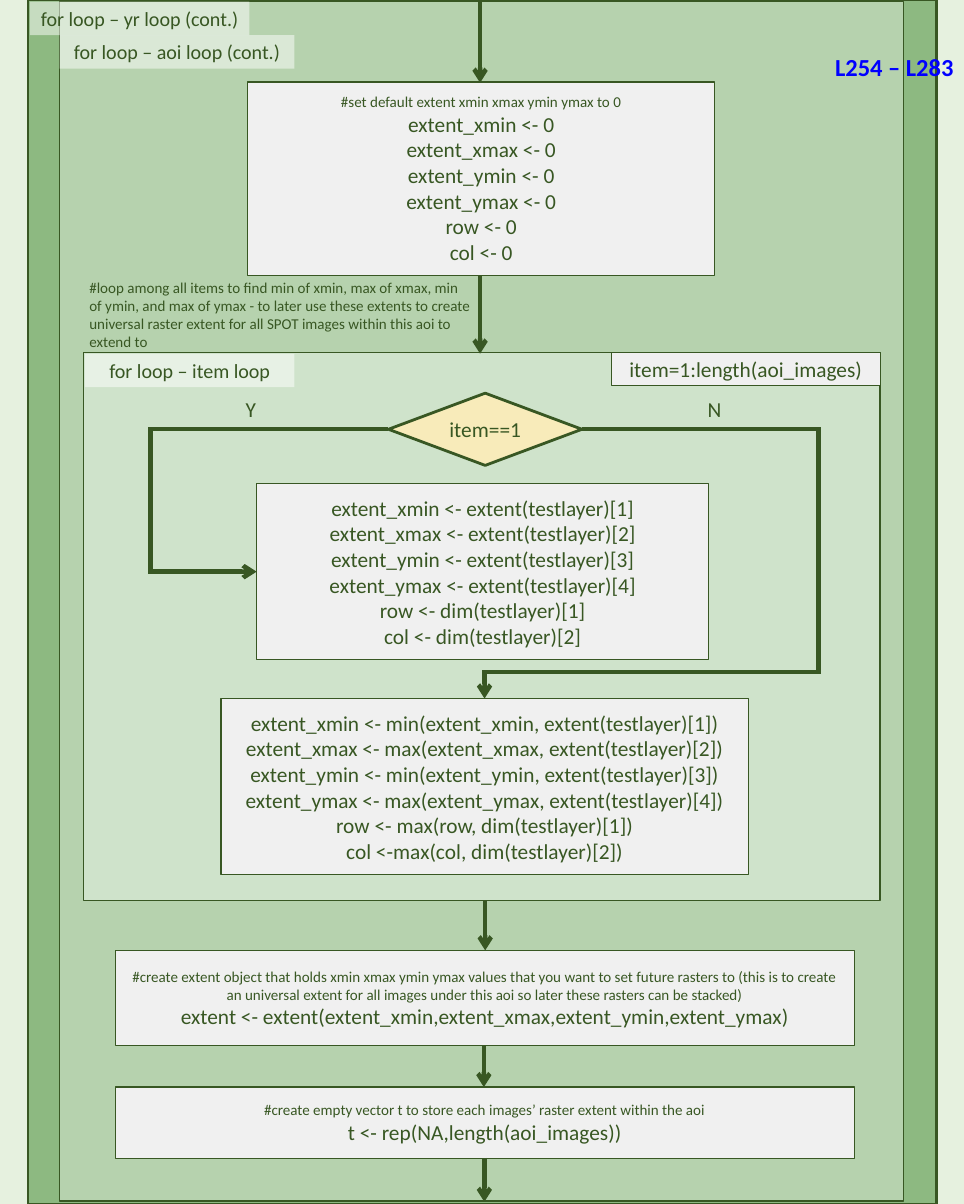
from dataclasses import dataclass

from lxml.etree import SubElement
from pptx import Presentation
from pptx.dml.color import RGBColor
from pptx.enum.shapes import MSO_CONNECTOR as Connector, MSO_SHAPE as Preset
from pptx.enum.text import MSO_ANCHOR as Anchor, MSO_AUTO_SIZE as AutoSize, PP_ALIGN as Align
from pptx.oxml.ns import qn
from pptx.util import Pt

DARK_GREEN = RGBColor(0x38, 0x57, 0x23)
PAGE_GREEN = RGBColor(0xE6, 0xF1, 0xDF)
YEAR_GREEN = RGBColor(0x8D, 0xB9, 0x81)
AOI_GREEN = RGBColor(0xB6, 0xD2, 0xAE)
ITEM_GREEN = RGBColor(0xCF, 0xE3, 0xCB)
GREY = RGBColor(0xF0, 0xF0, 0xF0)
YELLOW = RGBColor(0xF8, 0xEB, 0xBA)
WHITE = RGBColor(0xFF, 0xFF, 0xFF)
BLUE = RGBColor(0x00, 0x00, 0xFF)

SLIDE_WIDTH, SLIDE_HEIGHT = 768.25, 960
COMMENT_SIZE, LABEL_SIZE, CODE_SIZE = 12, 16, 17
ARROW_WIDTH = 3.5


@dataclass
class Box:
    left: float
    top: float
    width: float
    height: float
    text: str = ""
    fill: RGBColor = GREY
    line: float = 1
    preset: Preset = Preset.FLOWCHART_PROCESS
    size: float = CODE_SIZE
    anchor: Anchor = Anchor.MIDDLE
    opacity: int = 100


@dataclass
class Note:
    left: float
    top: float
    width: float
    height: float
    text: str
    size: float = CODE_SIZE
    color: RGBColor = DARK_GREEN
    bold: bool = False
    wrap: bool = True


@dataclass
class Arrow:
    start: tuple[float, float]
    end: tuple[float, float]
    preset: str = "line"
    bends: tuple[float, ...] = ()


def loop_frame(left: float, top: float, width: float, height: float,
               fill: RGBColor, line: float = 1) -> Box:
    return Box(left, top, width, height, fill=fill, line=line, preset=Preset.RECTANGLE)


def loop_label(left: float, top: float, width: float, text: str) -> Box:
    return Box(left, top, width, 26.6, text, WHITE, 0, Preset.RECTANGLE,
               LABEL_SIZE, Anchor.TOP, 50)


BOXES = [
    loop_frame(22.3, 0, 723.8, SLIDE_HEIGHT, YEAR_GREEN, 2.25),
    loop_frame(47.5, 1.4, 672.6, 956.2, AOI_GREEN),
    loop_label(47.5, 28.1, 187.2, "for loop – aoi loop (cont.)"),
    loop_label(23.8, 1.4, 175, "for loop – yr loop (cont.)"),
    Box(197.3, 65.3, 372.4, 154.4, """#set default extent xmin xmax ymin ymax to 0
extent_xmin <- 0
extent_xmax <- 0
extent_ymin <- 0
extent_ymax <- 0
row <- 0
col <- 0"""),
    loop_frame(66.3, 280.8, 635, 437, ITEM_GREEN),
    loop_label(67.7, 282.2, 167, "for loop – item loop"),
    Box(487.4, 280.8, 213.9, 26.6, "item=1:length(aoi_images)", line=0.5),
    Box(204.5, 385.7, 360.4, 140.4, """extent_xmin <- extent(testlayer)[1]
extent_xmax <- extent(testlayer)[2]
extent_ymin <- extent(testlayer)[3]
extent_ymax <- extent(testlayer)[4]
row <- dim(testlayer)[1]
col <- dim(testlayer)[2]"""),
    Box(309.6, 313.5, 154.2, 57.6, "item==1", YELLOW, 2.25, Preset.FLOWCHART_DECISION),
    Box(176.2, 557, 420, 140.6, """extent_xmin <- min(extent_xmin, extent(testlayer)[1])
extent_xmax <- max(extent_xmax, extent(testlayer)[2])
extent_ymin <- min(extent_ymin, extent(testlayer)[3])
extent_ymax <- max(extent_ymax, extent(testlayer)[4])
row <- max(row, dim(testlayer)[1])
col <-max(col, dim(testlayer)[2])"""),
    Box(91.8, 758, 589, 75.8,
        "#create extent object that holds xmin xmax ymin ymax values that you want to set "
        "future rasters to (this is to create an universal extent for all images under "
        "this aoi so later these rasters can be stacked)\n"
        "extent <- extent(extent_xmin,extent_xmax,extent_ymin,extent_ymax)"),
    Box(91.8, 866.8, 589, 56.7,
        "#create empty vector t to store each images’ raster extent within the aoi\n"
        "t <- rep(NA,length(aoi_images))"),
]

NOTES = [
    Note(658.4, 38.2, 110.9, 31, "L254 – L283", 19.5, BLUE, True),
    Note(64.1, 218.5, 318.2, 65.5,
         "#loop among all items to find min of xmin, max of xmax, min of ymin, and max of "
         "ymax - to later use these extents to create universal raster extent for all SPOT "
         "images within this aoi to extend to"),
    Note(188.6, 312.5, 23, 28.1, "Y", wrap=False),
    Note(556.9, 312.5, 25.9, 28.1, "N", wrap=False),
]

ARROWS = [
    Arrow((382.6, 1.4), (382.6, 66)),
    Arrow((382.6, 220), (382.6, 282)),
    Arrow((309.6, 342), (204.6, 455.8), "bentConnector3", (1.806,)),
    Arrow((463.8, 342), (386.2, 557), "bentConnector4", (-2.428, 0.902)),
    Arrow((386.7, 718.2), (386.7, 757.8)),
    Arrow((385.6, 833.8), (385.6, 866.8)),
    Arrow((386, 923.2), (386, 958.3)),
]


def write_text(frame, text: str, size: float, color: RGBColor, align: Align,
               bold: bool = False) -> None:
    """Write one paragraph a line; lines that open with # take the comment size."""
    for index, line in enumerate(text.split("\n")):
        paragraph = frame.add_paragraph() if index else frame.paragraphs[0]
        paragraph.alignment = align
        run = paragraph.add_run()
        run.text = line
        points = COMMENT_SIZE if line.startswith("#") else size
        font_format = {"name": "Calibri", "size": Pt(points), "bold": bold}
        for name, value in font_format.items():
            setattr(run.font, name, value)
        run.font.color.rgb = color


def draw_box(slide, box: Box) -> None:
    shape = slide.shapes.add_shape(
        box.preset, Pt(box.left), Pt(box.top), Pt(box.width), Pt(box.height))
    shape.shadow.inherit = False
    shape.fill.solid()
    shape.fill.fore_color.rgb = box.fill
    if box.opacity < 100:
        color = shape.fill._xPr.find(f".//{qn('a:srgbClr')}")
        SubElement(color, qn("a:alpha"), val=str(box.opacity * 1000))
    if box.line:
        shape.line.color.rgb = DARK_GREEN
        shape.line.width = Pt(box.line)
    else:
        shape.line.fill.background()
    if box.text:
        shape.text_frame.vertical_anchor = box.anchor
        write_text(shape.text_frame, box.text, box.size, DARK_GREEN, Align.CENTER)


def draw_note(slide, note: Note) -> None:
    frame = slide.shapes.add_textbox(
        Pt(note.left), Pt(note.top), Pt(note.width), Pt(note.height)).text_frame
    frame.word_wrap = note.wrap
    frame.auto_size = AutoSize.SHAPE_TO_FIT_TEXT
    write_text(frame, note.text, note.size, note.color, Align.LEFT, note.bold)


def draw_arrow(slide, arrow: Arrow) -> None:
    kind = Connector.ELBOW if arrow.bends else Connector.STRAIGHT
    connector = slide.shapes.add_connector(kind, *map(Pt, arrow.start + arrow.end))
    connector.line.color.rgb = DARK_GREEN
    connector.line.width = Pt(ARROW_WIDTH)
    outline = connector.line._get_or_add_ln()
    SubElement(outline, qn("a:miter"), lim="800000")
    SubElement(outline, qn("a:tailEnd"), type="arrow")
    properties = connector._element.spPr
    SubElement(properties, qn("a:effectLst"))
    geometry = properties.find(qn("a:prstGeom"))
    geometry.set("prst", arrow.preset)
    guides = geometry.find(qn("a:avLst"))
    for number, bend in enumerate(arrow.bends, start=1):
        SubElement(guides, qn("a:gd"), name=f"adj{number}", fmla=f"val {round(bend * 100000)}")


def main() -> None:
    presentation = Presentation()
    presentation.slide_width, presentation.slide_height = Pt(SLIDE_WIDTH), Pt(SLIDE_HEIGHT)
    slide = presentation.slides.add_slide(presentation.slide_layouts.get_by_name("Blank"))
    slide.background.fill.solid()
    slide.background.fill.fore_color.rgb = PAGE_GREEN
    for draw, items in ((draw_box, BOXES), (draw_note, NOTES), (draw_arrow, ARROWS)):
        for item in items:
            draw(slide, item)
    presentation.save("out.pptx")


if __name__ == "__main__":
    main()
